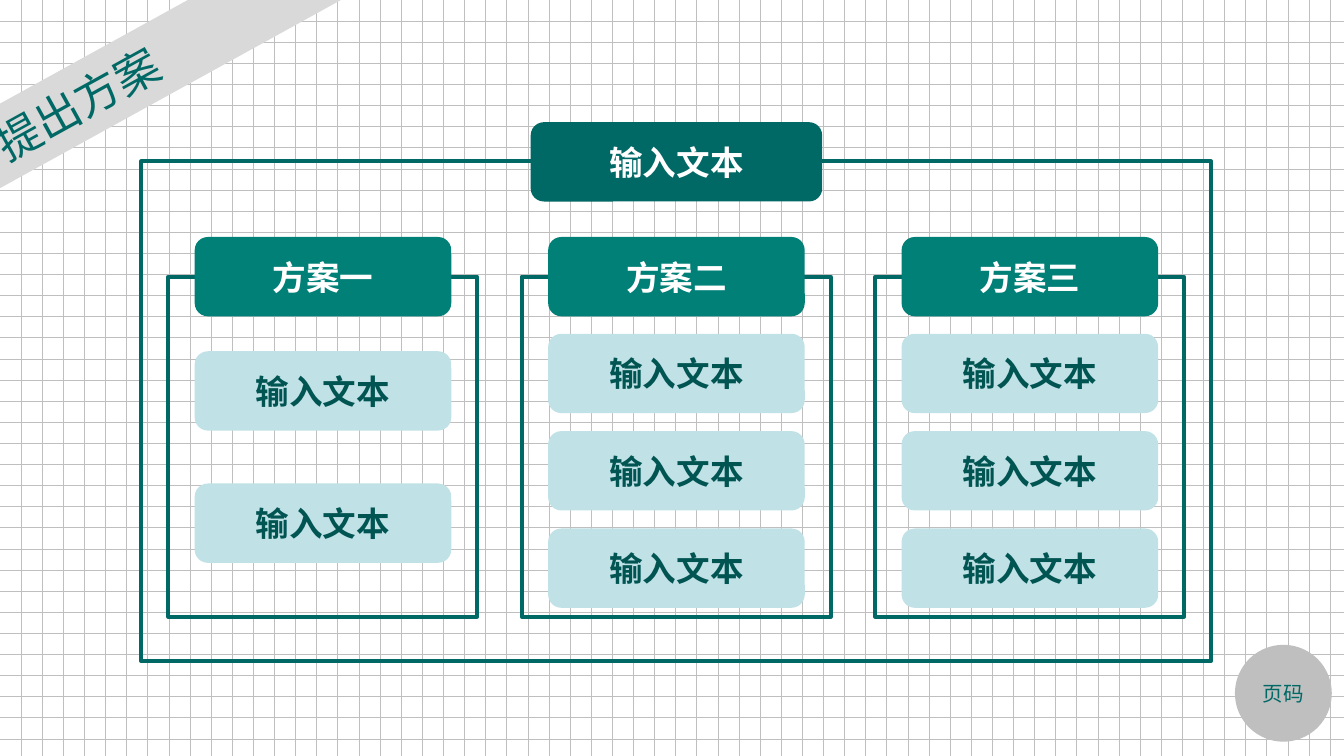
from dataclasses import dataclass

from lxml.etree import SubElement
from pptx import Presentation
from pptx.dml.color import RGBColor
from pptx.enum.dml import MSO_PATTERN
from pptx.enum.shapes import MSO_SHAPE
from pptx.enum.text import MSO_ANCHOR, PP_ALIGN
from pptx.oxml.ns import qn
from pptx.shapes.autoshape import Shape
from pptx.slide import Slide
from pptx.util import Cm, Pt

FONT = "Noto Sans CJK SC"
WHITE = RGBColor(0xFF, 0xFF, 0xFF)
GRID = RGBColor(0xBF, 0xBF, 0xBF)
SILVER = RGBColor(0xD9, 0xD9, 0xD9)
DEEP = RGBColor(0x00, 0x68, 0x65)
TEAL = RGBColor(0x00, 0x80, 0x77)
PALE = RGBColor(0xC0, 0xE1, 0xE6)
DARK = RGBColor(0x00, 0x54, 0x52)

LEFT, PITCH = 3.18, 6.68
INSET = 0.5
TAG_W, TAG_H = 4.85, 1.5


@dataclass
class Box:
    left: float
    top: float
    width: float
    height: float


@dataclass
class Style:
    fill: RGBColor
    color: RGBColor
    size: int = 18
    bold: bool = True
    kind: MSO_SHAPE = MSO_SHAPE.ROUNDED_RECTANGLE
    align: PP_ALIGN = PP_ALIGN.CENTER


@dataclass
class Plan:
    title: str
    first: float
    step: float
    items: list[str]


ROOT = Style(DEEP, WHITE)
HEAD = Style(TEAL, WHITE)
ITEM = Style(PALE, DARK)
BAND = Style(SILVER, DEEP, 24, False, MSO_SHAPE.RECTANGLE, PP_ALIGN.LEFT)
PAGE = Style(GRID, DEEP, 11, False, MSO_SHAPE.OVAL)

PLANS = [
    Plan("方案一", 6.64, 2.5, ["输入文本"] * 2),
    Plan("方案二", 6.31, 1.84, ["输入文本"] * 3),
    Plan("方案三", 6.31, 1.84, ["输入文本"] * 3),
]


def add_box(slide: Slide, kind: MSO_SHAPE, box: Box) -> Shape:
    shape = slide.shapes.add_shape(
        kind, Cm(box.left), Cm(box.top), Cm(box.width), Cm(box.height))
    shape.shadow.inherit = False
    return shape


def add_frame(slide: Slide, box: Box) -> None:
    shape = add_box(slide, MSO_SHAPE.RECTANGLE, box)
    shape.fill.background()
    shape.line.color.rgb = DEEP
    shape.line.width = Pt(2)


def add_label(slide: Slide, box: Box, text: str, style: Style) -> Shape:
    shape = add_box(slide, style.kind, box)
    shape.fill.solid()
    shape.fill.fore_color.rgb = style.fill
    shape.line.fill.background()
    frame = shape.text_frame
    frame.word_wrap = True
    frame.vertical_anchor = MSO_ANCHOR.MIDDLE
    frame.margin_left = frame.margin_right = Cm(0.1)
    para = frame.paragraphs[0]
    para.text = text
    para.alignment = style.align
    font = para.font
    font.name = FONT
    font.size = Pt(style.size)
    font.bold = style.bold
    font.color.rgb = style.color
    props = para._p.pPr.find(qn("a:defRPr"))
    SubElement(props, qn("a:ea")).set("typeface", FONT)
    return shape


def add_plan(slide: Slide, left: float, plan: Plan) -> None:
    add_frame(slide, Box(left, 5.23, 5.84, 6.43))
    inner = left + INSET
    add_label(slide, Box(inner, 4.48, TAG_W, TAG_H), plan.title, HEAD)
    for row, text in enumerate(plan.items):
        top = plan.first + row * plan.step
        add_label(slide, Box(inner, top, TAG_W, TAG_H), text, ITEM)


def main() -> None:
    deck = Presentation()
    deck.slide_width, deck.slide_height = Cm(25.4), Cm(14.29)
    slide = deck.slides.add_slide(deck.slide_layouts[6])
    back = slide.background.fill
    back.patterned()
    back.pattern = MSO_PATTERN.DOTTED_GRID
    back.fore_color.rgb = GRID
    back.back_color.rgb = WHITE

    add_frame(slide, Box(2.67, 3.05, 20.22, 9.45))
    band = add_label(slide, Box(-2.41, 0.48, 10.54, 1.4), "提出方案", BAND)
    band.rotation = 331.1
    band.text_frame.margin_left = Cm(1.98)
    add_label(slide, Box(10.03, 2.31, 5.51, TAG_H), "输入文本", ROOT)
    for col, plan in enumerate(PLANS):
        add_plan(slide, LEFT + col * PITCH, plan)
    add_label(slide, Box(23.34, 12.19, 1.83, 1.83), "页码", PAGE)
    deck.save("out.pptx")


if __name__ == "__main__":
    main()
